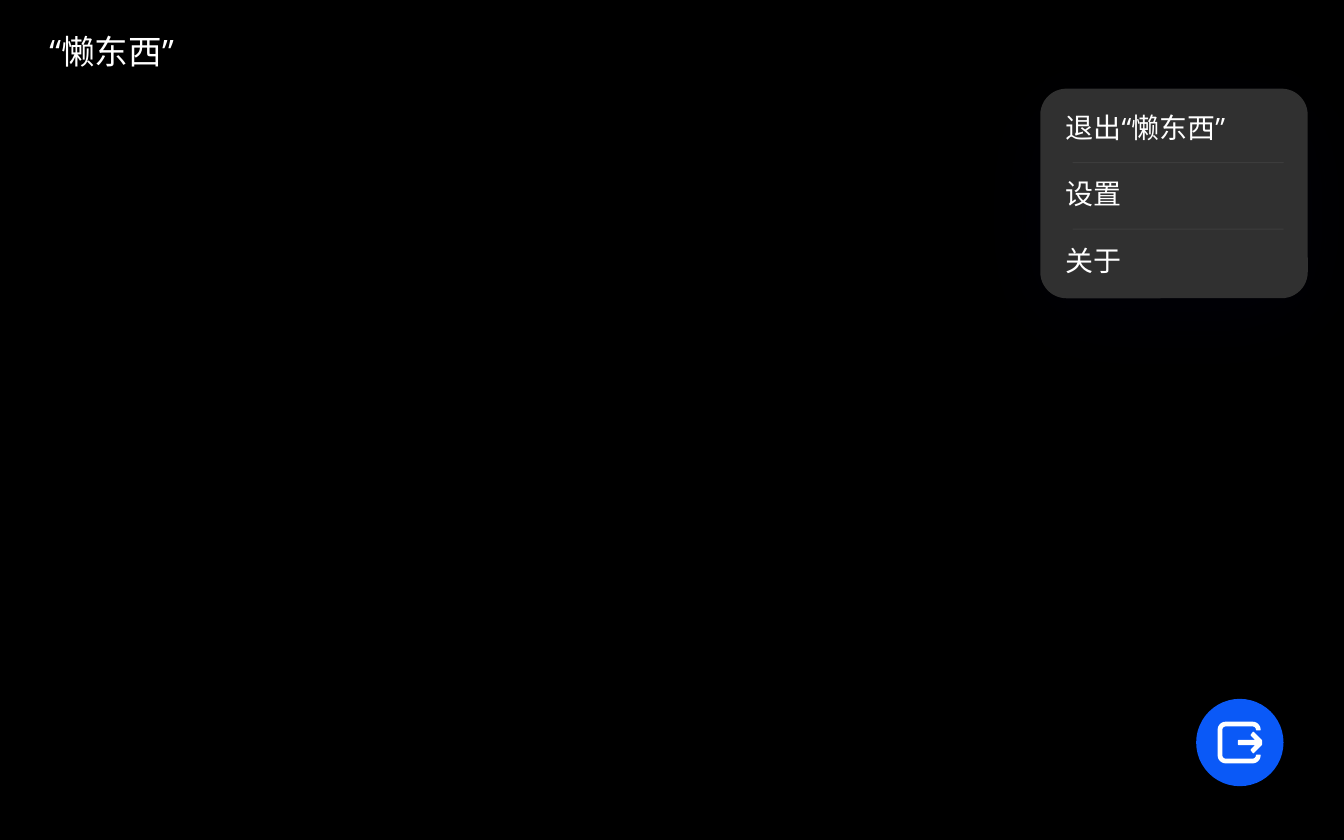
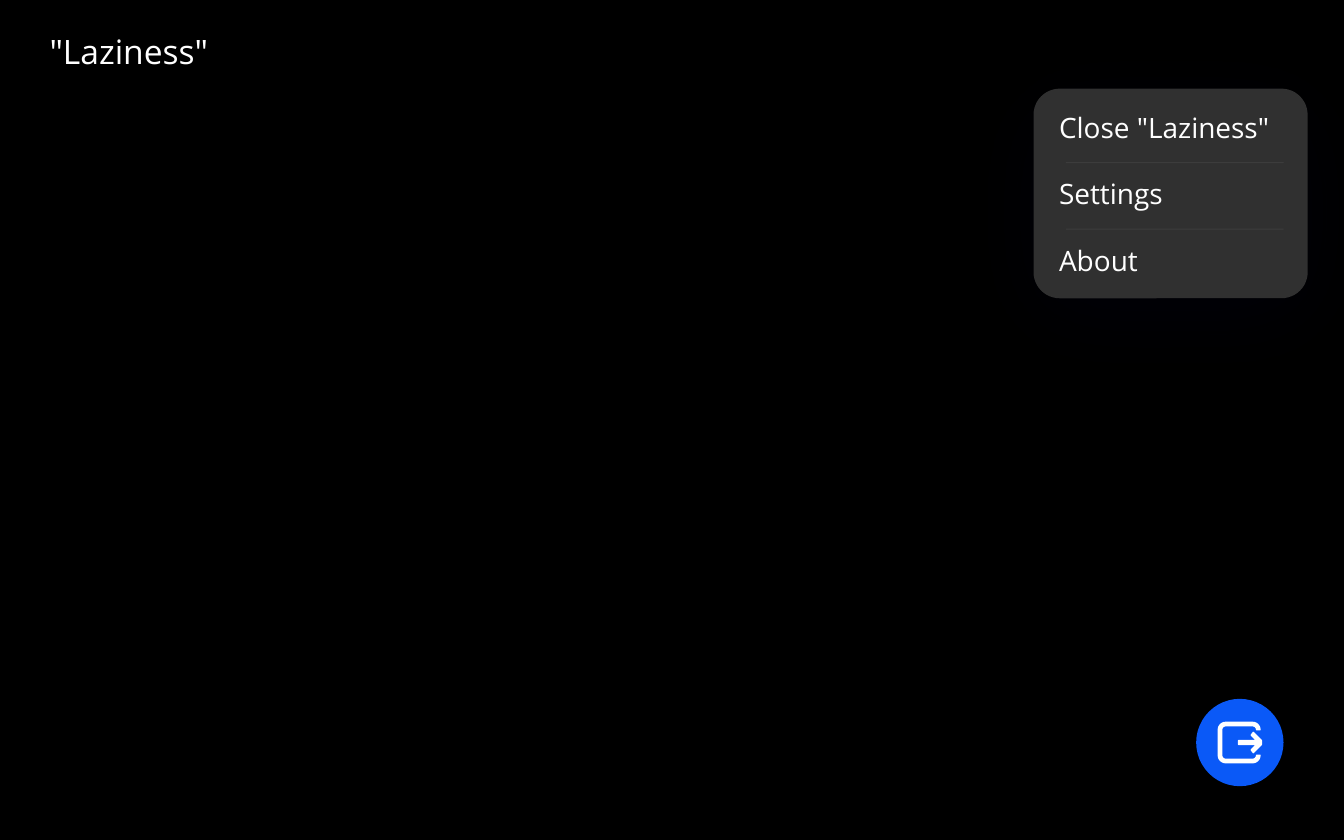
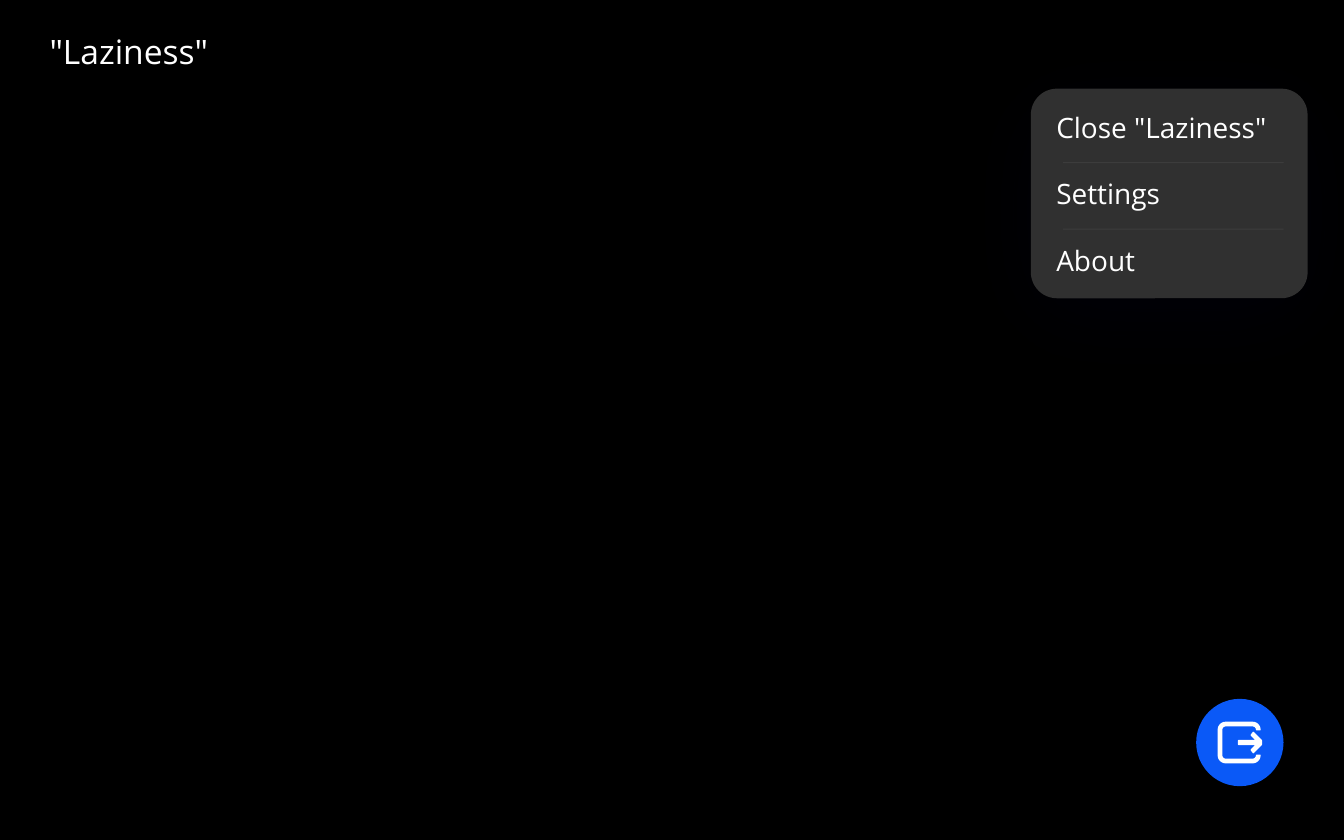
from math import cos, pi, sin

from lxml.etree import SubElement
from pptx import Presentation
from pptx.dml.color import RGBColor
from pptx.enum.lang import MSO_LANGUAGE_ID
from pptx.enum.shapes import MSO_CONNECTOR, MSO_SHAPE
from pptx.enum.text import MSO_ANCHOR, MSO_AUTO_SIZE, PP_ALIGN
from pptx.oxml.ns import qn
from pptx.util import Inches, Pt

BLACK, WHITE, BLUE, GREY, NIGHT = "000000", "FFFFFF", "0A59F7", "303030", "00001E"
FONT = "Open Sans"
COLUMNS = 100
CHINESE, ENGLISH = MSO_LANGUAGE_ID.SIMPLIFIED_CHINESE, MSO_LANGUAGE_ID.ENGLISH_US

SCREENS = [
    (CHINESE, "“懒东西”", 15.3, 77.9, ["退出“懒东西”", "设置", "关于"]),
    (ENGLISH, '"Laziness"', 16.8, 77.4, ['Close "Laziness"', "Settings", "About"]),
    (ENGLISH, '"Laziness"', 16.2, 77.2, ['Close "Laziness"', "Settings", "About"]),
]


def color(value):
    return RGBColor.from_string(value)


def set_alpha(element, percent):
    SubElement(element, qn("a:alpha")).set("val", str(percent * 1000))


class Screen:
    """A dark app screen whose lengths are cells of a 100-column grid."""

    def __init__(self, deck, language):
        self.cell = deck.slide_width / COLUMNS
        self.language = language
        self.page = deck.slides.add_slide(deck.slide_layouts[6])
        self.page.background.fill.solid()
        self.page.background.fill.fore_color.rgb = color(BLACK)

    def length(self, *cells):
        return [round(count * self.cell) for count in cells]

    def paint(self, shape, fill):
        shape.shadow.inherit = False
        shape.fill.solid()
        shape.fill.fore_color.rgb = color(fill)
        shape.line.fill.background()
        return shape

    def label(self, shape, text, size):
        frame = shape.text_frame
        frame.word_wrap = True
        frame.text = text
        para = frame.paragraphs[0]
        para.alignment = PP_ALIGN.LEFT
        font = para.runs[0].font
        font.name, font.size, font.language_id = FONT, Pt(size), self.language
        font.color.rgb = color(WHITE)
        SubElement(para.runs[0]._r.rPr, qn("a:ea")).set("typeface", FONT)

    def title(self, text, width):
        box = self.page.shapes.add_textbox(*self.length(2.7, 1.8, width, 4))
        self.label(box, text, 18)
        box.text_frame.auto_size = MSO_AUTO_SIZE.SHAPE_TO_FIT_TEXT

    def panel(self, left, top, width, height, rounding):
        shape = self.page.shapes.add_shape(
            MSO_SHAPE.ROUNDED_RECTANGLE, *self.length(left, top, width, height))
        shape.adjustments[0] = rounding
        return self.paint(shape, GREY)

    def cast_shadow(self, shape):
        effects = shape._element.spPr.find(qn("a:effectLst"))
        shadow = SubElement(effects, qn("a:outerShdw"), blurRad=str(int(Pt(50))),
                            dist=str(int(Pt(10))), dir="5400000", rotWithShape="0")
        set_alpha(SubElement(shadow, qn("a:srgbClr"), val=NIGHT), 30)

    def divider(self, left, right, top):
        start_x, end_x, y = self.length(left, right, top)
        line = self.page.shapes.add_connector(MSO_CONNECTOR.STRAIGHT, start_x, y, end_x, y)
        line.line.width = Pt(0.5)
        line.line.color.rgb = color(WHITE)
        properties = line._element.spPr
        set_alpha(next(properties.iter(qn("a:srgbClr"))), 5)
        SubElement(properties, qn("a:effectLst"))

    def menu(self, left, labels):
        top, pitch, right = 7, 4.95, 96.9
        self.cast_shadow(self.panel(left - 0.5, 6.6, 97.3 - left + 0.5, 15.6, 0.125))
        for index, text in enumerate(labels):
            row = self.panel(left, top + index * pitch, right - left, 4.9, 0.29)
            row.text_frame.vertical_anchor = MSO_ANCHOR.MIDDLE
            self.label(row, text, 15)
        for index in range(1, len(labels)):
            self.divider(left + 1.9, 95.5, top + index * pitch + 0.15)

    def frame_side(self, radius):
        corners = [(93.2, 54.3), (91.2, 54.3), (91.2, 56.2), (93.2, 56.2)]
        steps = 6
        for quarter, (x, y) in enumerate(corners):
            for step in range(steps + 1):
                angle = (quarter + step / steps) * pi / 2
                yield x + radius * cos(angle), y - radius * sin(angle)

    def exit_button(self):
        group = self.page.shapes.add_group_shape()
        self.paint(group.shapes.add_shape(
            MSO_SHAPE.OVAL, *self.length(89, 52, 6.5, 6.5)), BLUE)
        frame = [*self.frame_side(0.55), *reversed([*self.frame_side(0.3)])]
        middle = 55.25
        upper = [(92.15, 55.1), (93.5, 55.1), (93.1, 54.7), (93.25, 54.5), (93.85, 55.1)]
        arrow = upper + [(x, 2 * middle - y) for x, y in reversed(upper)]
        outlines = [[self.length(*point) for point in points] for points in (frame, arrow)]
        builder = group.shapes.build_freeform(*outlines[0][0])
        builder.add_line_segments(outlines[0][1:], close=True)
        builder.move_to(*outlines[1][0])
        builder.add_line_segments(outlines[1][1:], close=True)
        icon = self.paint(builder.convert_to_shape(), WHITE)
        icon.line.color.rgb = color(WHITE)
        icon.line.width = Pt(0.75)


def main():
    deck = Presentation()
    deck.slide_width, deck.slide_height = Inches(10), Inches(6.25)
    for language, title, title_width, menu_left, labels in SCREENS:
        screen = Screen(deck, language)
        screen.title(title, title_width)
        screen.exit_button()
        screen.menu(menu_left, labels)
    deck.save("out.pptx")


main()
